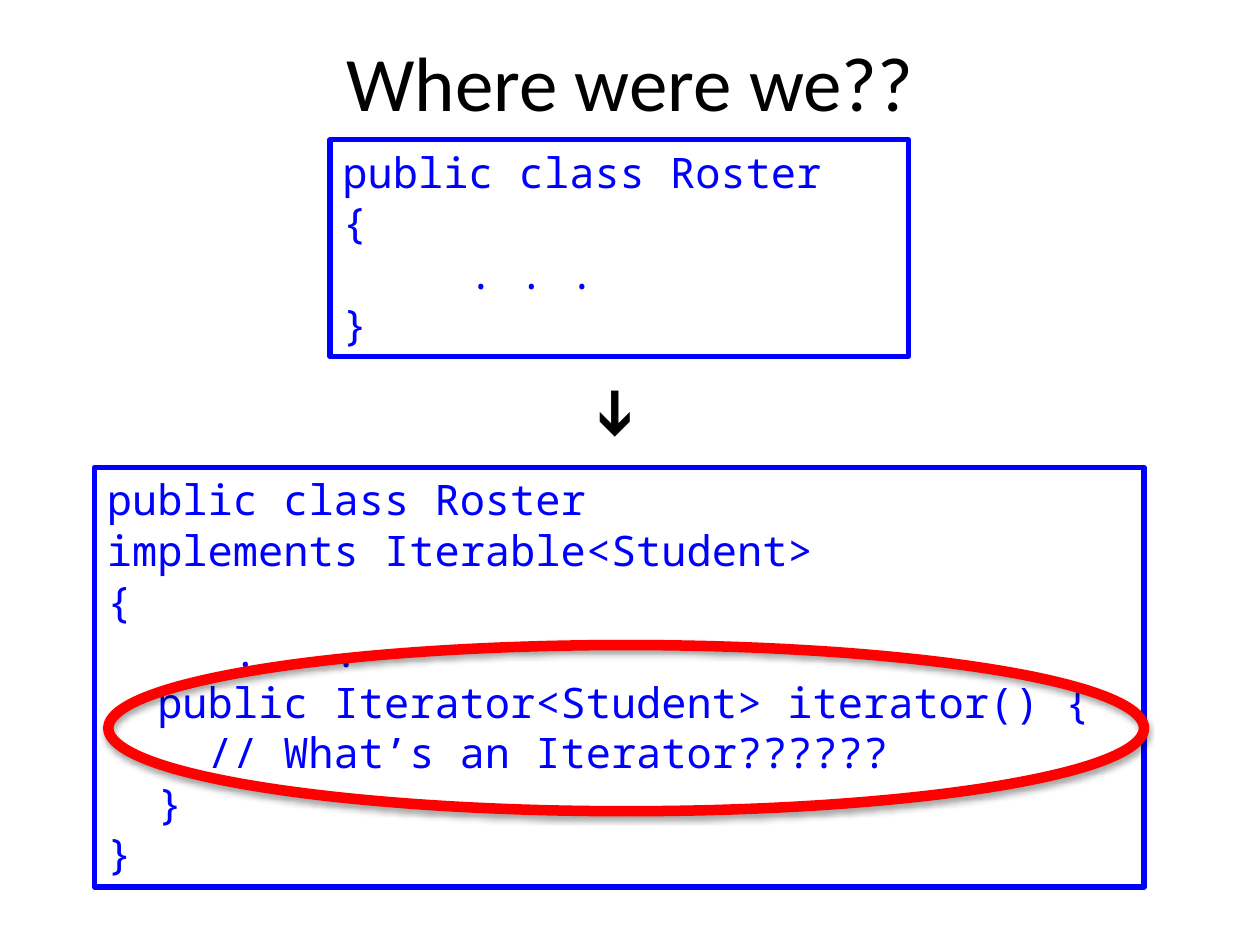
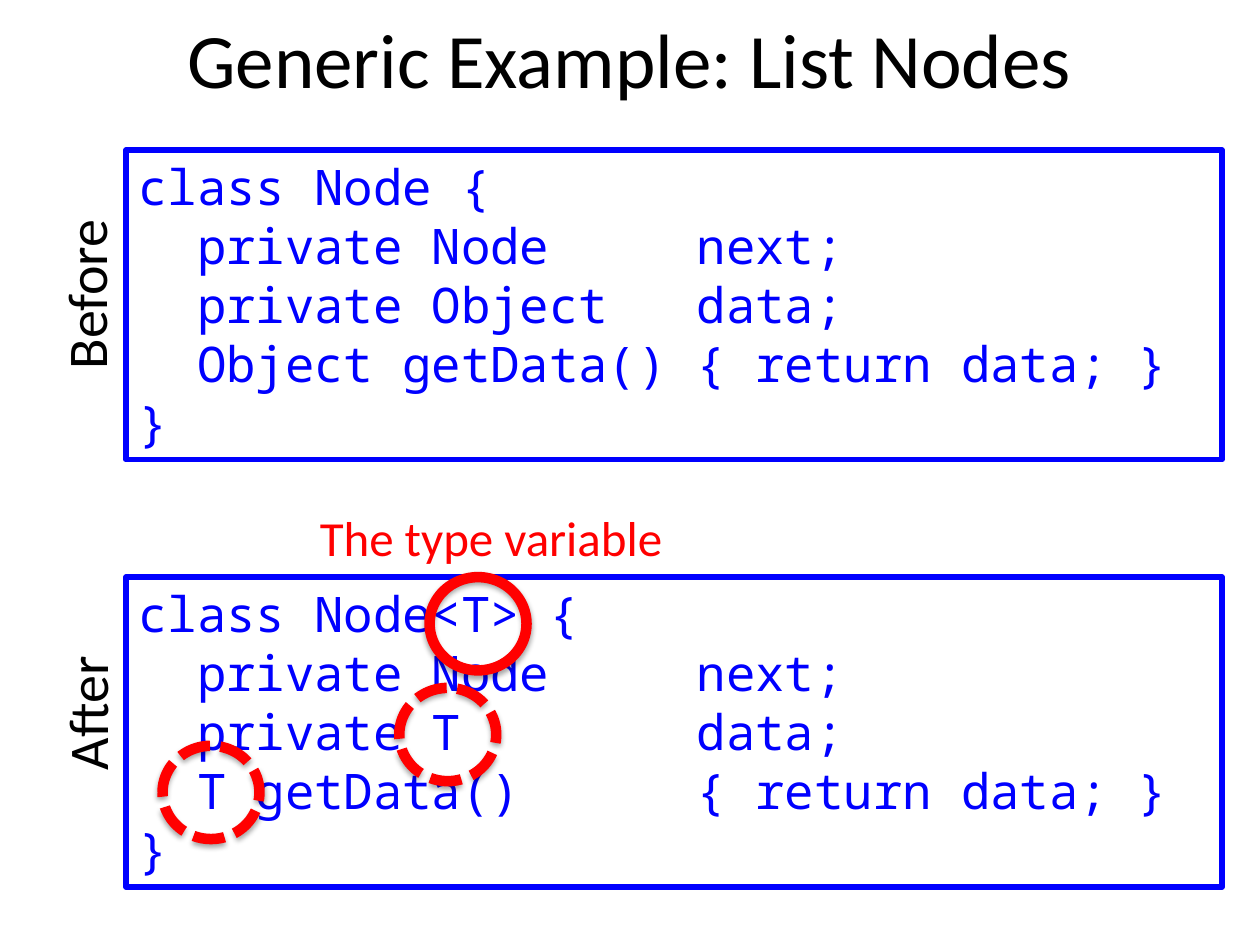
from dataclasses import dataclass

from lxml import etree
from pptx import Presentation
from pptx.dml.color import RGBColor
from pptx.enum.dml import MSO_LINE
from pptx.enum.shapes import MSO_SHAPE
from pptx.enum.text import MSO_ANCHOR, MSO_AUTO_SIZE, PP_ALIGN
from pptx.oxml.ns import qn
from pptx.util import Pt

RECTANGLE, OVAL = MSO_SHAPE.RECTANGLE, MSO_SHAPE.OVAL
LEFT, CENTER = PP_ALIGN.LEFT, PP_ALIGN.CENTER
TOP, MIDDLE = MSO_ANCHOR.TOP, MSO_ANCHOR.MIDDLE
FIT_SHAPE = MSO_AUTO_SIZE.SHAPE_TO_FIT_TEXT
DASHED = MSO_LINE.SQUARE_DOT
BLANK_LAYOUT = 6


@dataclass(frozen=True)
class Theme:
    text: RGBColor = RGBColor(0, 0, 0)
    code: RGBColor = RGBColor(0, 0, 255)
    accent: RGBColor = RGBColor(255, 0, 0)
    text_font: str = "Calibri"
    code_font: str = "Noto Sans Mono"
    title_size: float = 44
    arrow_size: float = 36
    label_size: float = 32
    note_size: float = 28
    small_code: float = 24
    large_code: float = 28
    frame_width: float = 3
    ring_width: float = 6
    character_ratio: float = 0.6
    line_ratio: float = 1.205


class Deck:
    def __init__(self, theme):
        self.theme = theme
        self.presentation = Presentation()
        self.presentation.slide_width = Pt(720)
        self.presentation.slide_height = Pt(540)
        self.slide = None

    def add_slide(self, title, top, height):
        layout = self.presentation.slide_layouts[BLANK_LAYOUT]
        self.slide = self.presentation.slides.add_slide(layout)
        box = self.slide.shapes.add_textbox(Pt(36), Pt(top), Pt(648), Pt(height))
        frame = box.text_frame
        frame.word_wrap = True
        frame.vertical_anchor = MIDDLE
        paragraph = frame.paragraphs[0]
        paragraph.text = title
        paragraph.alignment = CENTER
        self.style(paragraph, self.theme.text_font, self.theme.title_size, self.theme.text)

    def style(self, paragraph, name, size, color):
        paragraph.font.name = name
        paragraph.font.size = Pt(size)
        paragraph.font.color.rgb = color

    def label(self, text, left, top, width, height, size, color, rotation=0):
        box = self.slide.shapes.add_textbox(Pt(left), Pt(top), Pt(width), Pt(height))
        box.rotation = rotation
        frame = box.text_frame
        frame.word_wrap = False
        frame.auto_size = FIT_SHAPE
        paragraph = frame.paragraphs[0]
        paragraph.text = text
        self.style(paragraph, self.theme.text_font, size, color)

    def outline(self, kind, left, top, width, height, color, line_width):
        shape = self.slide.shapes.add_shape(kind, Pt(left), Pt(top), Pt(width), Pt(height))
        shape.shadow.inherit = False
        shape.fill.background()
        shape.line.color.rgb = color
        shape.line.width = Pt(line_width)
        return shape

    def code_box(self, lines, left, top, width, height, size):
        shape = self.outline(RECTANGLE, left, top, width, height,
                             self.theme.code, self.theme.frame_width)
        frame = shape.text_frame
        frame.word_wrap = True
        frame.vertical_anchor = TOP
        for index, line in enumerate(lines):
            paragraph = frame.add_paragraph() if index else frame.paragraphs[0]
            self.code_line(paragraph, line, size)

    def code_line(self, paragraph, line, size):
        paragraph.text = "".join("\t" + text if column else text for column, text in line)
        paragraph.alignment = LEFT
        paragraph.line_spacing = Pt(size * self.theme.line_ratio)
        self.style(paragraph, self.theme.code_font, size, self.theme.code)
        columns = [column for column, _ in line if column]
        if columns:
            properties = paragraph.font._element.getparent()
            tabs = etree.Element(qn("a:tabLst"))
            for column in columns:
                position = Pt(column * size * self.theme.character_ratio)
                etree.SubElement(tabs, qn("a:tab"), pos=str(position), algn="l")
            paragraph.font._element.addprevious(tabs)
            properties.set("marL", "0")

    def ring(self, left, top, width, height, dash=None):
        shape = self.outline(OVAL, left, top, width, height,
                             self.theme.accent, self.theme.ring_width)
        if dash:
            shape.line.dash_style = dash
        effects = shape._element.spPr.find(qn("a:effectLst"))
        shadow = etree.SubElement(effects, qn("a:outerShdw"), blurRad=str(Pt(3.1)),
                                  dist=str(Pt(1.8)), dir="5400000", rotWithShape="0")
        color = etree.SubElement(shadow, qn("a:srgbClr"), val="000000")
        etree.SubElement(color, qn("a:alpha"), val="35000")


def code(*lines):
    return [[(0, line)] if isinstance(line, str) else line for line in lines]


def build_roster_slide(deck):
    theme = deck.theme
    dots = [(5, ". . .")]
    deck.add_slide("Where were we??", 13.7, 64.8)
    deck.code_box(code("public class Roster", "{", dots, "}"),
                  188.6, 79.9, 330.5, 123.8, theme.small_code)
    deck.label("➔", 327.6, 215.3, 53.3, 51.1, theme.arrow_size, theme.text, 90)
    iterable_roster = code(
        "public class Roster",
        "implements Iterable<Student>",
        "{",
        dots,
        [(2, "public Iterator<Student> iterator() {")],
        [(4, "// What’s an Iterator??????")],
        [(2, "}")],
        "}",
    )
    deck.code_box(iterable_roster, 54, 267.1, 599.8, 239.8, theme.small_code)
    deck.ring(61.9, 368.6, 591.8, 95)


def node_code(header, data_type, getter):
    return code(
        header,
        [(2, "private Node"), (19, "next;")],
        [(2, f"private {data_type}"), (19, "data;")],
        [(2, getter), (19, "{ return data; }")],
        "}",
    )


def build_node_slide(deck):
    theme = deck.theme
    deck.add_slide("Generic Example: List Nodes", -1.4, 69.1)
    versions = [
        (85.7, node_code("class Node {", "Object", "Object getData()")),
        (329.8, node_code("class Node<T> {", "T", "T getData()")),
    ]
    for top, lines in versions:
        deck.code_box(lines, 72, top, 626.4, 177.1, theme.large_code)
    deck.label("Before", -2.2, 144, 102.2, 46.1, theme.label_size, theme.text, 270)
    deck.label("After", 9.4, 383.8, 80.6, 46.1, theme.label_size, theme.text, 270)
    deck.label("The type variable", 175.7, 286.6, 213.1, 41, theme.note_size, theme.accent)
    for left, top, dash in [(245.5, 329.8, None), (228.2, 393.1, DASHED), (92.9, 426.2, DASHED)]:
        deck.ring(left, top, 55.4, 53.3, dash)


def main():
    deck = Deck(Theme())
    build_roster_slide(deck)
    build_node_slide(deck)
    deck.presentation.save("out.pptx")


if __name__ == "__main__":
    main()
